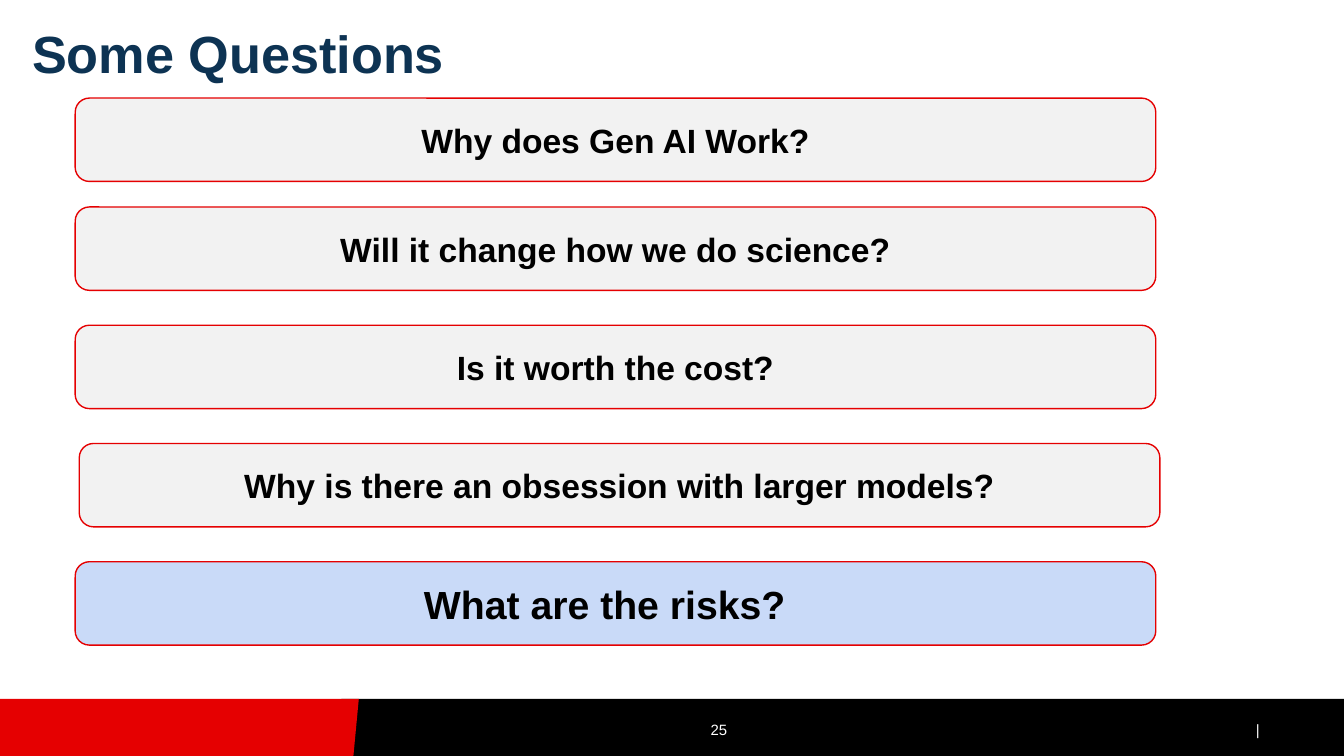
from pptx import Presentation
from pptx.dml.color import RGBColor
from pptx.enum.shapes import MSO_SHAPE
from pptx.enum.text import MSO_ANCHOR, PP_ALIGN
from pptx.util import Pt

PIXEL = 4572
WIDTH, HEIGHT = 2000, 1125
FOOTER_TOP = 1040
FONT = "Arial"

BLACK = RGBColor(0x00, 0x00, 0x00)
WHITE = RGBColor(0xFF, 0xFF, 0xFF)
RED = RGBColor(0xE5, 0x00, 0x01)
NAVY = RGBColor(0x0D, 0x33, 0x53)
GRAY = RGBColor(0xF2, 0xF2, 0xF2)
LIGHT_BLUE = RGBColor(0xC9, 0xDA, 0xF8)

QUESTIONS = [
    ("Why does Gen AI Work?", 112, 146),
    ("Will it change how we do science?", 112, 308),
    ("Is it worth the cost?", 112, 484),
    ("Why is there an obsession with larger models?", 118, 660),
]
KEY_QUESTION = ("What are the risks?", 112, 836)


def px(value):
    return value * PIXEL


def box(left, top, width, height):
    return px(left), px(top), px(width), px(height)


def write_text(shape, text, size, color, alignment, bold=False, right_inset=14, vertical_inset=8):
    frame = shape.text_frame
    frame.word_wrap = True
    frame.vertical_anchor = MSO_ANCHOR.MIDDLE
    frame.margin_left = px(14)
    frame.margin_right = px(right_inset)
    frame.margin_top = frame.margin_bottom = px(vertical_inset)
    paragraph = frame.paragraphs[0]
    paragraph.alignment = alignment
    run = paragraph.add_run()
    run.text = text
    run.font.name = FONT
    run.font.size = Pt(size)
    run.font.bold = bold
    run.font.color.rgb = color
    return paragraph


def paint(shape, fill, line=None):
    shape.shadow.inherit = False
    shape.fill.solid()
    shape.fill.fore_color.rgb = fill
    if line is None:
        shape.line.fill.background()
    else:
        shape.line.color.rgb = line
        shape.line.width = Pt(0.75)


def add_label(slide, bounds, text, size, color, alignment, bold=False):
    shape = slide.shapes.add_textbox(*box(*bounds))
    return write_text(shape, text, size, color, alignment, bold)


def add_question(slide, question, fill=GRAY, size=18, right_inset=14):
    text, left, top = question
    shape = slide.shapes.add_shape(MSO_SHAPE.ROUNDED_RECTANGLE, *box(left, top, 1608, 124))
    shape.adjustments[0] = 0.17
    paint(shape, fill, RED)
    write_text(shape, text, size, BLACK, PP_ALIGN.CENTER, True, right_inset, 14)


def add_footer(slide):
    bar = slide.shapes.add_shape(
        MSO_SHAPE.RECTANGLE, *box(508, FOOTER_TOP, WIDTH - 508, HEIGHT - FOOTER_TOP))
    paint(bar, BLACK)
    builder = slide.shapes.build_freeform(0, FOOTER_TOP, scale=PIXEL)
    builder.add_line_segments([(534, FOOTER_TOP), (526, HEIGHT), (0, HEIGHT)], close=True)
    paint(builder.convert_to_shape(), RED)
    add_label(slide, (1852, 1056, 40, 60), "|", 8, WHITE, PP_ALIGN.CENTER)
    add_label(slide, (978, 1056, 118, 60), "25", 8, WHITE, PP_ALIGN.RIGHT)


def main():
    presentation = Presentation()
    presentation.slide_width = px(WIDTH)
    presentation.slide_height = px(HEIGHT)
    slide = presentation.slides.add_slide(presentation.slide_layouts[6])
    add_footer(slide)
    title = add_label(slide, (34, 22, 1886, 124), "Some Questions", 28, NAVY, PP_ALIGN.LEFT, True)
    title.line_spacing = 0.9
    for question in QUESTIONS:
        add_question(slide, question)
    add_question(slide, KEY_QUESTION, LIGHT_BLUE, 21, 46)
    presentation.save("out.pptx")


if __name__ == "__main__":
    main()
